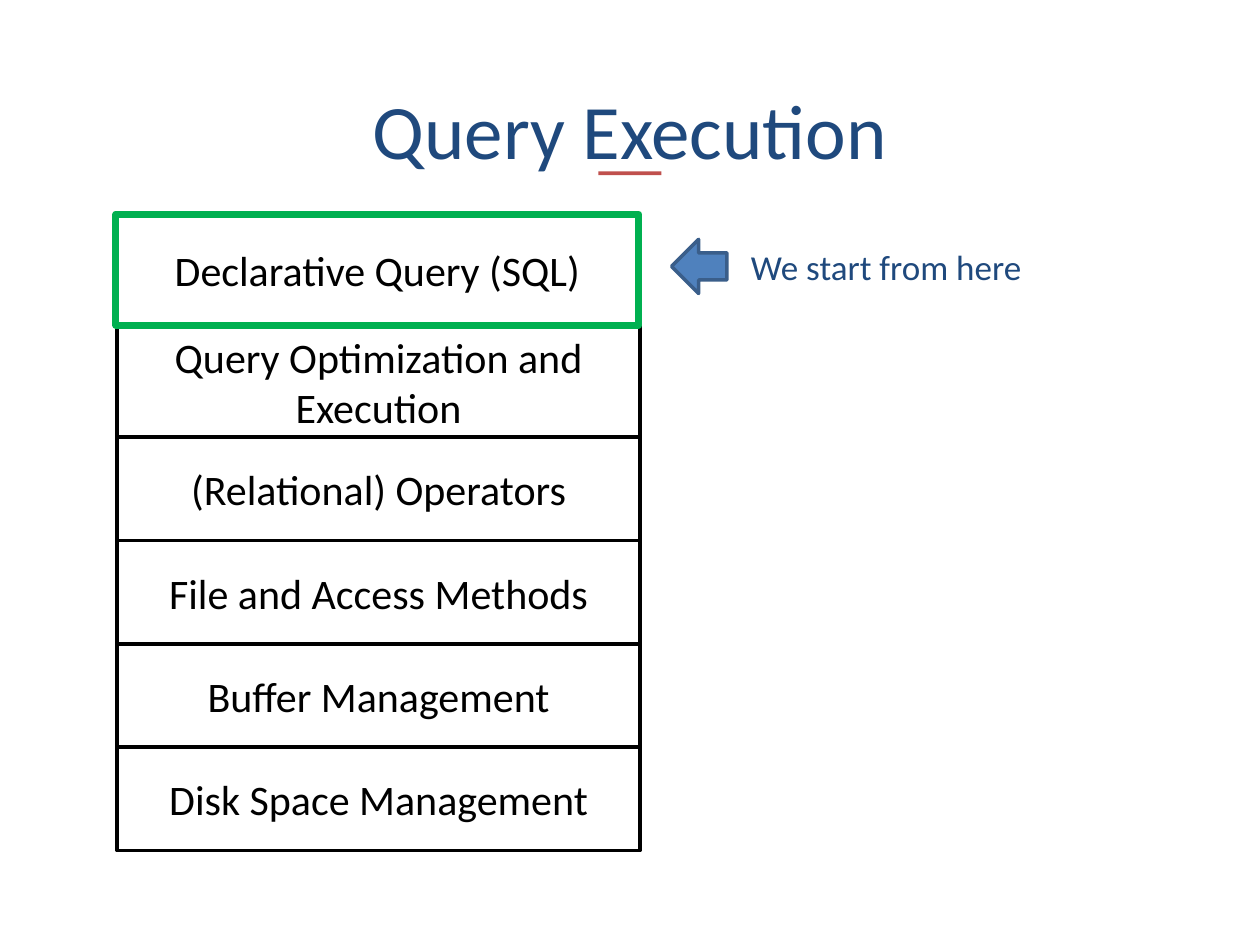
from pptx import Presentation
from pptx import util as u
from pptx.dml.color import RGBColor
from pptx.enum import shapes, text
from pptx.oxml.ns import qn
from lxml import etree

COLORS = {
    "navy": "1F497D", "red": "C0504D", "black": "000000", "white": "FFFFFF",
    "green": "00B050", "blue": "4F81BD", "dark_blue": "3A5E8A",
}


def add_block(slide, kind, box, fill, line=None, width=2):
    shape = slide.shapes.add_shape(kind, *[u.Inches(value) for value in box])
    shape.shadow.inherit = False
    shape.fill.solid()
    shape.fill.fore_color.rgb = RGBColor.from_string(COLORS[fill])
    if line:
        shape.line.color.rgb = RGBColor.from_string(COLORS[line])
        shape.line.width = u.Pt(width)
    else:
        shape.line.fill.background()
    return shape


def write_text(shape, words, size, color, alignment, anchor):
    frame = shape.text_frame
    frame.text = words
    frame_format = {"word_wrap": True, "auto_size": text.MSO_AUTO_SIZE.NONE,
                    "vertical_anchor": anchor}
    for side in ("left", "right", "top", "bottom"):
        frame_format["margin_" + side] = u.Inches(0.05)
    for name, value in frame_format.items():
        setattr(frame, name, value)
    paragraph = frame.paragraphs[0]
    paragraph.alignment = alignment
    font = paragraph.runs[0].font
    for name, value in {"name": "Calibri", "size": u.Pt(size)}.items():
        setattr(font, name, value)
    font.color.rgb = RGBColor.from_string(COLORS[color])
    return paragraph


presentation = Presentation()
presentation.slide_width = u.Inches(10)
presentation.slide_height = u.Inches(7.5)
slide = presentation.slides.add_slide(presentation.slide_layouts[1])
title, note = slide.placeholders

for placeholder, box in ((title, (0.5, 0.6, 9, 0.84)), (note, (5.53, 1.9, 3.77, 0.37))):
    for name, value in zip(("left", "top", "width", "height"), box):
        setattr(placeholder, name, u.Inches(value))

write_text(title, "Query Execution", 44, "navy", text.PP_ALIGN.CENTER, text.MSO_ANCHOR.MIDDLE)
paragraph = write_text(note, "We start from here", 20, "navy",
                       text.PP_ALIGN.LEFT, text.MSO_ANCHOR.TOP)
paragraph.space_before = u.Pt(4)
properties = paragraph._p.get_or_add_pPr()
properties.set("marL", str(u.Inches(0.38)))
properties.set("indent", "0")
etree.SubElement(properties, qn("a:buNone"))

add_block(slide, shapes.MSO_SHAPE.RECTANGLE, (4.75, 1.36, 0.5, 0.03), "red")

layers = [
    ("Query Optimization and Execution", 0.88),
    ("(Relational) Operators", 0.82),
    ("File and Access Methods", 0.82),
    ("Buffer Management", 0.82),
    ("Disk Space Management", 0.82),
]
blocks = []
top = 2.59
for words, height in layers:
    blocks.append((words, (0.93, top, 4.15, height), "black", 2))
    top += height
blocks.append(("Declarative Query (SQL)", (0.92, 1.7, 4.15, 0.88), "green", 4))

for words, box, line, width in blocks:
    layer = add_block(slide, shapes.MSO_SHAPE.RECTANGLE, box, "white", line, width)
    write_text(layer, words, 24, "black", text.PP_ALIGN.CENTER, text.MSO_ANCHOR.MIDDLE)

add_block(slide, shapes.MSO_SHAPE.LEFT_ARROW, (5.33, 1.9, 0.44, 0.43), "blue", "dark_blue")

presentation.save("out.pptx")
